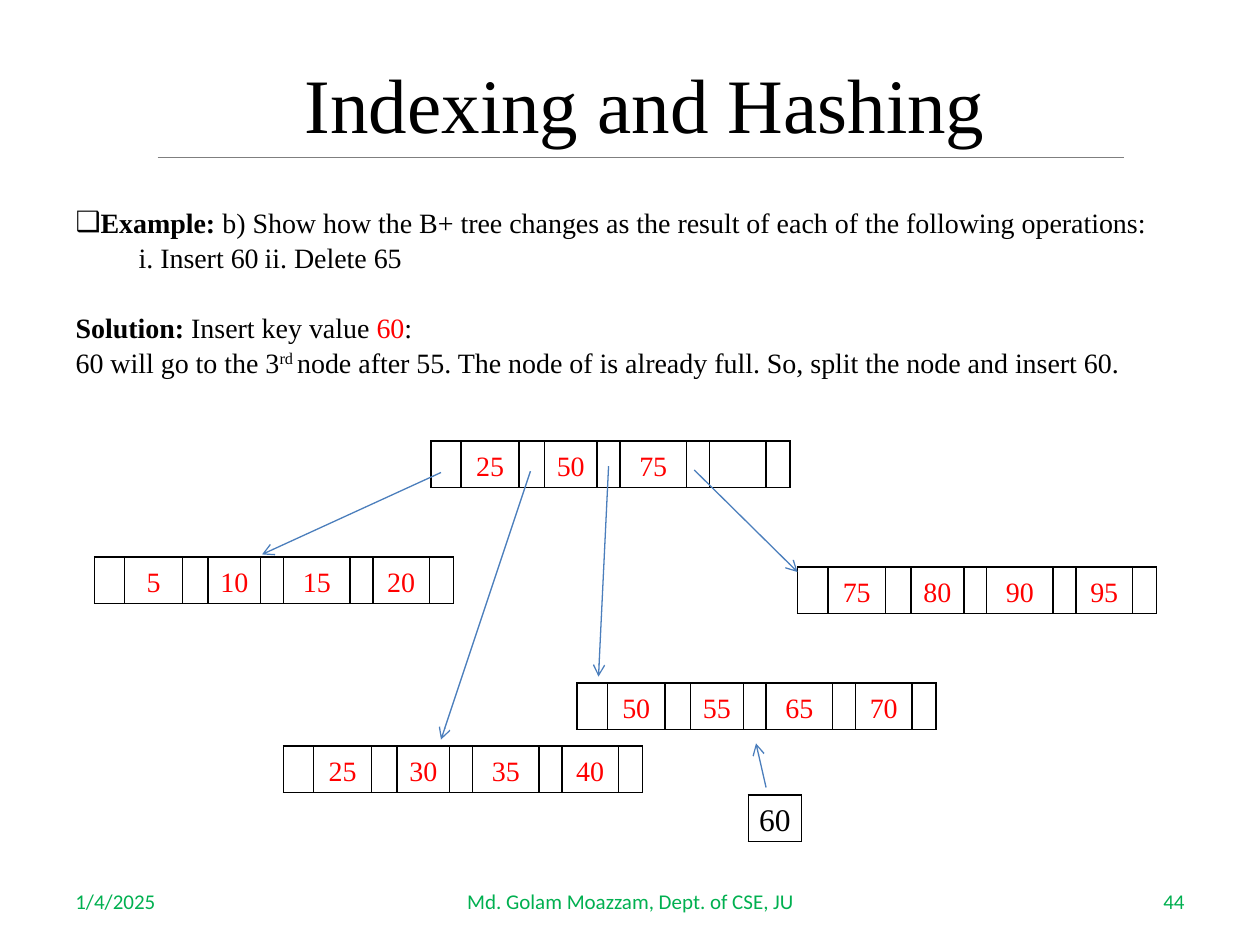
import pptx
import pptx.util
import pptx.dml.color
import pptx.enum.shapes
import pptx.enum.text
import pptx.oxml
import pptx.oxml.ns

Inches, Pt = pptx.util.Inches, pptx.util.Pt
ALIGN = pptx.enum.text.PP_ALIGN
MIDDLE = pptx.enum.text.MSO_ANCHOR.MIDDLE

COLORS = {"text": "000000", "key": "FF0000", "footer": "00B050",
          "arrow": "4B7EBC", "rule": "7F7F7F", "paper": "FFFFFF"}
SERIF, SANS = "Times New Roman", "Calibri"

TITLE = "Indexing and Hashing"
# Each paragraph: space before in points, then runs of (text, style)
BODY = [
    (0, [("Example: ", "bold"),
         ("b) Show how the B+ tree changes as the result of each of the "
          "following operations:", "")]),
    (0.8, [("\ti. Insert 60\tii. Delete 65", "")]),
    (20.8, [("Solution: ", "bold"), ("Insert key value ", ""), ("60", "key"), (":", "")]),
    (0.8, [("60 will go to the 3", ""), ("rd ", "superscript"),
           ("node after 55. The node of is already full. "
            "So, split the node and insert 60.", "")]),
]
BULLET_PARAGRAPH, TABBED_PARAGRAPH = 0, 1
TAB_STOPS = [2.0, 3.57]

FOOTERS = [  # text, left, width, alignment
    ("1/4/2025", 0.5, 2.33, ALIGN.LEFT),
    ("Md. Golam Moazzam, Dept. of CSE, JU", 3.42, 3.17, ALIGN.CENTER),
    ("44", 7.17, 2.33, ALIGN.RIGHT),
]

NODE_COLUMNS = [0.24, 0.46, 0.2, 0.42, 0.18, 0.53, 0.18, 0.45, 0.19]
NODE_HEIGHT = 0.37
NODES = [  # left, top, keys
    (3.42, 3.5, ["25", "50", "75"]),
    (0.75, 4.42, ["5", "10", "15", "20"]),
    (2.25, 5.92, ["25", "30", "35", "40"]),
    (4.58, 5.42, ["50", "55", "65", "70"]),
    (6.33, 4.5, ["75", "80", "90", "95"]),
]
TITLE_RULE = ((1.25, 1.25), (8.92, 1.25))
ARROWS = [
    ((3.5, 3.75), (2.08, 4.4)),
    ((4.21, 3.74), (3.5, 5.87)),
    ((4.83, 3.7), (4.75, 5.37)),
    ((5.51, 3.73), (6.33, 4.54)),
    ((6.08, 6.25), (6, 5.9)),
]


def rgb(name):
    return pptx.dml.color.RGBColor.from_string(COLORS[name])


def add_element(parent, tag, **attributes):
    element = pptx.oxml.ns.qn(tag)
    child = parent.makeelement(element, attributes)
    parent.append(child)
    return child


def set_font(font, size, color, name=SERIF):
    font.size, font.name = Pt(size), name
    font.color.rgb = rgb(color)


def place(shape, left, top, width, height):
    shape.left, shape.top = Inches(left), Inches(top)
    shape.width, shape.height = Inches(width), Inches(height)


def fill_title(shape):
    place(shape, 1.33, 0.38, 7.58, 0.87)
    shape.text_frame.text = TITLE
    shape.text_frame.vertical_anchor = MIDDLE
    paragraph = shape.text_frame.paragraphs[0]
    paragraph.alignment = ALIGN.CENTER
    set_font(paragraph.font, 44, "text")


def fill_body(shape):
    place(shape, 0.5, 1.58, 9, 5.25)
    frame = shape.text_frame
    frame.auto_size = pptx.enum.text.MSO_AUTO_SIZE.NONE
    for index, (space, runs) in enumerate(BODY):
        paragraph = frame.add_paragraph() if index else frame.paragraphs[0]
        properties = paragraph._p.get_or_add_pPr()
        properties.set("marL", "0")
        properties.set("indent", "0")
        if index == BULLET_PARAGRAPH:
            add_element(properties, "a:buChar", char="❑")
        else:
            add_element(properties, "a:buNone")
        if index == TABBED_PARAGRAPH:
            tabs = add_element(properties, "a:tabLst")
            for stop in TAB_STOPS:
                add_element(tabs, "a:tab", pos=str(Inches(stop)), algn="l")
        paragraph.space_before = Pt(space)
        for text, style in runs:
            run = paragraph.add_run()
            run.text = text
            set_font(run.font, 16, "key" if style == "key" else "text")
            run.font.bold = style == "bold"
            if style == "superscript":
                run.font._element.set("baseline", "30000")


def add_footer(slide, text, left, width, alignment):
    box = slide.shapes.add_textbox(Inches(left), Inches(6.95), Inches(width), Inches(0.4))
    box.text_frame.word_wrap = True
    box.text_frame.vertical_anchor = MIDDLE
    box.text_frame.text = text
    paragraph = box.text_frame.paragraphs[0]
    paragraph.alignment = alignment
    set_font(paragraph.font, 12, "footer", SANS)


def add_borders(cell):
    properties = cell._tc.get_or_add_tcPr()
    for side in ("a:lnL", "a:lnR", "a:lnT", "a:lnB"):
        line = add_element(properties, side, w=str(Pt(1)))
        add_element(add_element(line, "a:solidFill"), "a:srgbClr", val=COLORS["text"])


def add_node(slide, left, top, columns, texts, size, color, filled=False):
    frame = slide.shapes.add_table(1, len(columns), Inches(left), Inches(top),
                                   Inches(sum(columns)), Inches(NODE_HEIGHT))
    table = frame.table
    table.first_row = table.horz_banding = False
    table.rows[0].height = Inches(NODE_HEIGHT)
    for index, (width, text) in enumerate(zip(columns, texts)):
        table.columns[index].width = Inches(width)
        cell = table.cell(0, index)
        cell.margin_left = cell.margin_right = Inches(0.07)
        cell.margin_top = cell.margin_bottom = 0
        cell.vertical_anchor = MIDDLE
        add_borders(cell)
        if filled:
            cell.fill.solid()
            cell.fill.fore_color.rgb = rgb("paper")
        else:
            cell.fill.background()
        cell.text = text
        paragraph = cell.text_frame.paragraphs[0]
        paragraph.alignment, paragraph.line_spacing = ALIGN.CENTER, 1.15
        set_font(paragraph.font, size, color)


def add_line(slide, start, end, color, arrow=True):
    connector = slide.shapes.add_connector(
        pptx.enum.shapes.MSO_CONNECTOR.STRAIGHT, *map(Inches, start + end))
    connector.line.color.rgb = rgb(color)
    connector.line.width = Pt(0.75)
    if arrow:
        add_element(connector.line._get_or_add_ln(), "a:tailEnd", type="arrow")
    add_element(connector._element.spPr, "a:effectLst")


def main():
    presentation = pptx.Presentation()
    presentation.slide_width, presentation.slide_height = Inches(10), Inches(7.5)
    slide = presentation.slides.add_slide(presentation.slide_layouts[1])
    fill_title(slide.shapes.title)
    fill_body(slide.placeholders[1])
    for footer in FOOTERS:
        add_footer(slide, *footer)
    add_line(slide, *TITLE_RULE, "rule", arrow=False)
    for left, top, keys in NODES:
        texts = [""] * len(NODE_COLUMNS)
        texts[1:2 * len(keys):2] = keys  # keys sit between the pointer cells
        add_node(slide, left, top, NODE_COLUMNS, texts, 16, "key")
    add_node(slide, 5.94, 6.31, [0.42], ["60"], 18, "text", filled=True)
    for start, end in ARROWS:
        add_line(slide, start, end, "arrow")
    presentation.save("out.pptx")


if __name__ == "__main__":
    main()
